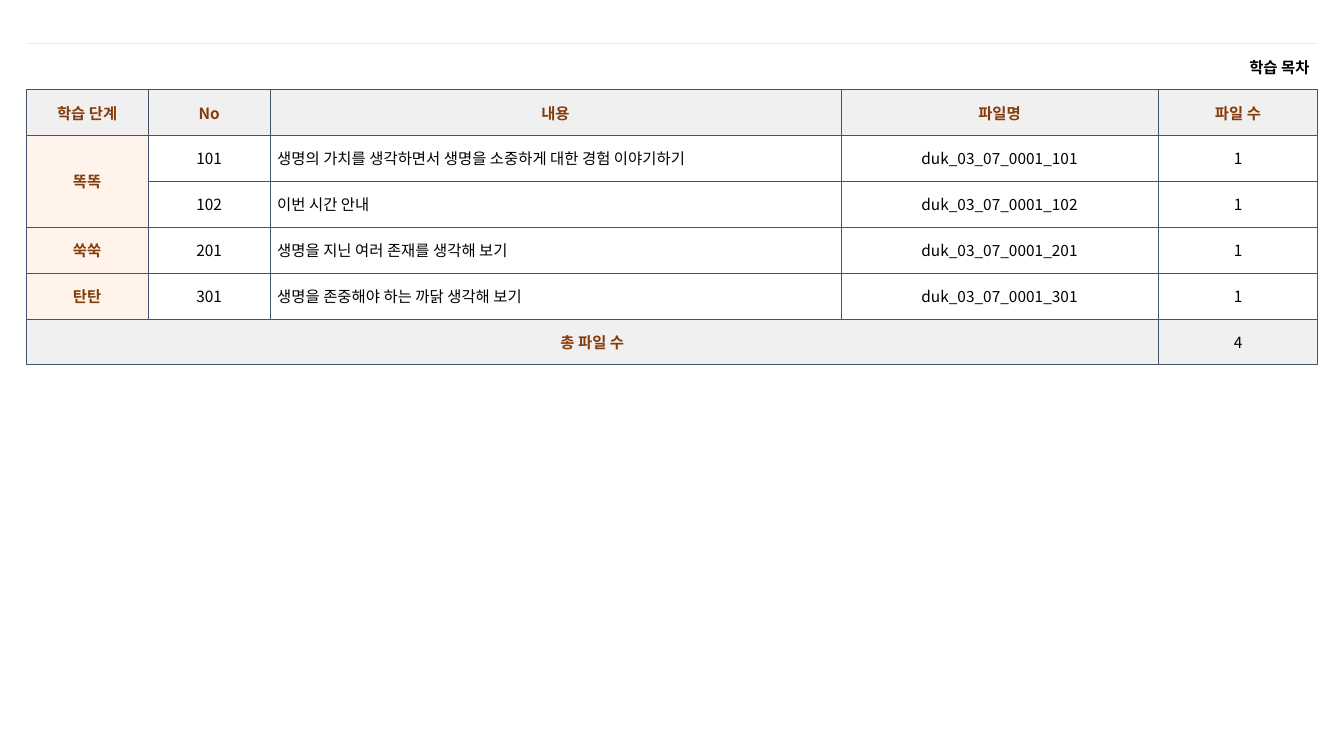
from dataclasses import dataclass

from lxml.etree import SubElement
from pptx import Presentation
from pptx.dml.color import RGBColor
from pptx.enum.text import MSO_ANCHOR as Anchor, PP_ALIGN as Align
from pptx.oxml.ns import qn
from pptx.util import Inches, Pt


@dataclass(frozen=True)
class Theme:
    font: str = "Noto Sans CJK KR"
    size: float = 11
    ink: str = "000000"
    accent: str = "843C0B"
    header_fill: str = "F1F0F0"
    stage_fill: str = "FFF3EB"
    body_fill: str = "FFFFFF"
    grid_line: tuple = ("44546A", 0.5)
    top_line: tuple = ("FBE5D6", 0.25)


class SlideBuilder:
    def __init__(self, presentation, theme):
        self.theme = theme
        self.slide = presentation.slides.add_slide(presentation.slide_layouts[6])

    def table(self, left, top, column_widths, row_height, row_count):
        """Add a plain table; lengths are in inches."""
        shape = self.slide.shapes.add_table(
            row_count, len(column_widths), Inches(left), Inches(top),
            Inches(sum(column_widths)), Inches(row_height * row_count))
        table = shape.table
        for name, value in {"first_row": False, "horz_banding": False}.items():
            setattr(table, name, value)
        for column, width in zip(table.columns, column_widths):
            column.width = Inches(width)
        for row in table.rows:
            row.height = Inches(row_height)
        return table

    def borders(self, cell, **lines):
        """Draw the L, R, T and B sides; a side that is None stays open."""
        properties = cell._tc.get_or_add_tcPr()
        for side in "LRTB":
            line = lines.get(side)
            element = SubElement(properties, qn(f"a:ln{side}"))
            if line is None:
                SubElement(element, qn("a:noFill"))
                continue
            color, width = line
            element.set("w", str(Pt(width)))
            fill = SubElement(element, qn("a:solidFill"))
            SubElement(fill, qn("a:srgbClr")).set("val", color)

    def fill(self, cell, color):
        if color is None:
            cell.fill.background()
        else:
            cell.fill.solid()
            cell.fill.fore_color.rgb = RGBColor.from_string(color)

    def text(self, cell, text, align=Align.CENTER, color=None, bold=False, inset=0.07):
        cell_format = {
            "vertical_anchor": Anchor.MIDDLE,
            "margin_left": Inches(inset), "margin_right": Inches(inset),
            "margin_top": Inches(0.05), "margin_bottom": Inches(0.05),
        }
        for name, value in cell_format.items():
            setattr(cell, name, value)
        paragraph = cell.text_frame.paragraphs[0]
        paragraph.alignment = align
        run = paragraph.add_run()
        run.text = text
        font_format = {"name": self.theme.font, "size": Pt(self.theme.size), "bold": bold}
        for name, value in font_format.items():
            setattr(run.font, name, value)
        run.font.color.rgb = RGBColor.from_string(color or self.theme.ink)
        east_asian = SubElement(run._r.get_or_add_rPr(), qn("a:ea"))
        east_asian.set("typeface", self.theme.font)


TITLE = "학습 목차"
HEADINGS = ["학습 단계", "No", "내용", "파일명", "파일 수"]
LESSONS = [
    ("똑똑", "101", "생명의 가치를 생각하면서 생명을 소중하게 대한 경험 이야기하기"),
    ("", "102", "이번 시간 안내"),
    ("쑥쑥", "201", "생명을 지닌 여러 존재를 생각해 보기"),
    ("탄탄", "301", "생명을 존중해야 하는 까닭 생각해 보기"),
]
COLUMN_WIDTHS = [1.21, 1.21, 5.66, 3.15, 1.58]
TABLE_HEIGHT = 3.19


def main():
    presentation = Presentation()
    presentation.slide_width, presentation.slide_height = Inches(13.33), Inches(7.5)
    theme = Theme()
    builder = SlideBuilder(presentation, theme)

    # Table content, row by row
    rows = [[TITLE, "", "", "", ""], HEADINGS]
    rows += [[stage, number, content, f"duk_03_07_0001_{number}", "1"]
             for stage, number, content in LESSONS]
    rows.append(["총 파일 수", "", "", "", str(len(LESSONS))])
    last_row, last_column = len(rows) - 1, len(HEADINGS) - 1
    table = builder.table(0.26, 0.43, COLUMN_WIDTHS, TABLE_HEIGHT / len(rows), len(rows))

    # Merged areas: title, first stage, total label
    for start, end in [((0, 0), (0, last_column)), ((2, 0), (3, 0)),
                       ((last_row, 0), (last_row, last_column - 1))]:
        table.cell(*start).merge(table.cell(*end))

    # Borders, fills and text
    grid = theme.grid_line
    for row, values in enumerate(rows):
        for column, value in enumerate(values):
            cell = table.cell(row, column)
            style = {}
            if row == 0:
                builder.borders(cell, T=theme.top_line, B=grid)
                fill = None
                style = {"align": Align.RIGHT, "bold": True, "inset": 0.08}
            else:
                builder.borders(cell, L=grid, R=grid, T=grid, B=grid)
                fill = theme.body_fill
                if row in (1, last_row):
                    fill = theme.header_fill
                elif column == 0:
                    fill = theme.stage_fill
                if row == 1 or column == 0:
                    style = {"color": theme.accent, "bold": True}
                elif column == 2:
                    style = {"align": Align.LEFT}
            builder.fill(cell, fill)
            if value:
                builder.text(cell, value, **style)

    presentation.save("out.pptx")


if __name__ == "__main__":
    main()
